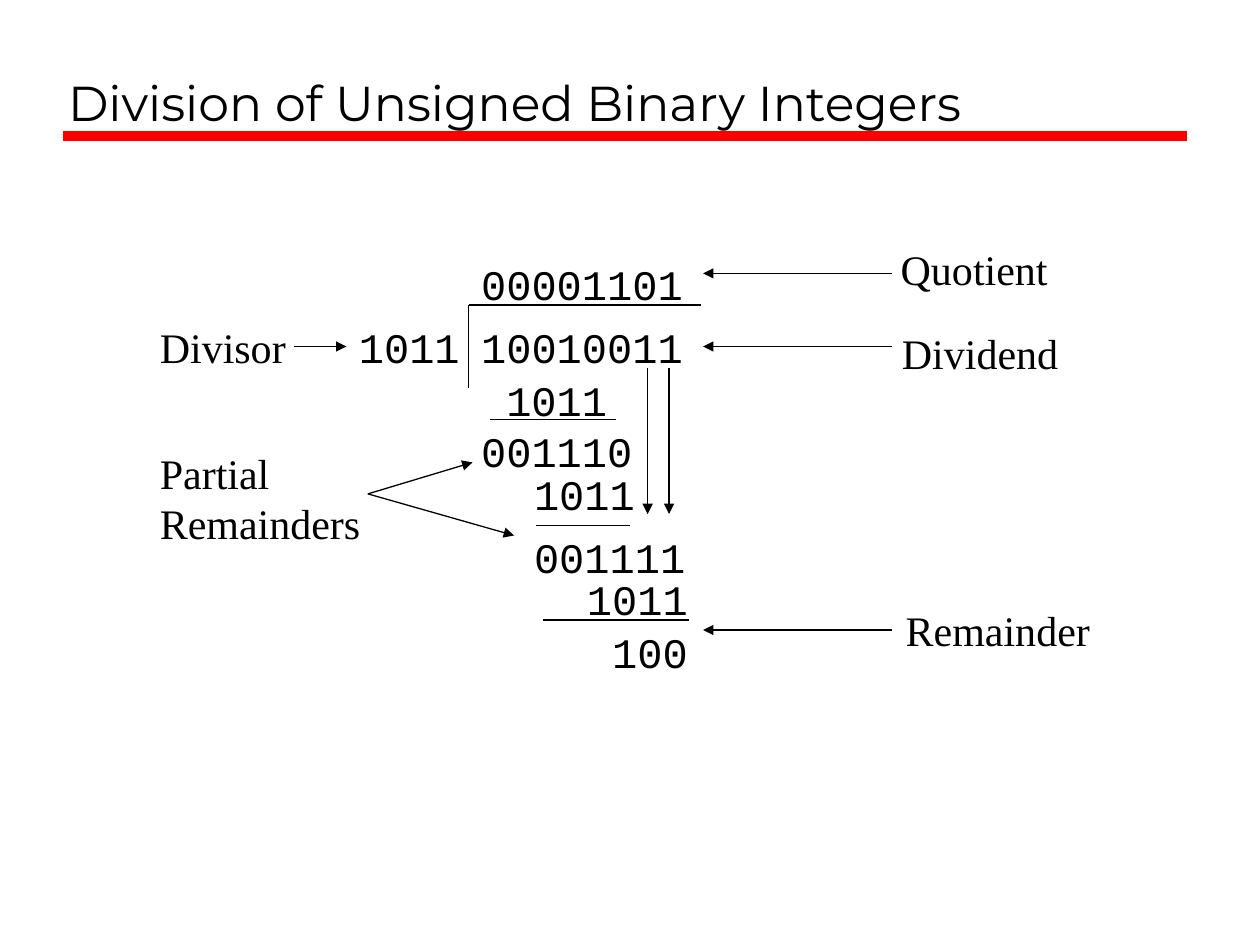
from pptx import Presentation
from pptx.dml.color import RGBColor
from pptx.enum import shapes, text
from pptx.oxml.ns import qn
from pptx.util import Inches, Pt
from lxml import etree

BLACK, RED = "000000", "FF0000"
TITLE = "Division of Unsigned Binary Integers"
DIGIT_WIDTH, INSET = 0.2, 0.1

# digits, left, top
NUMBERS = [
    ("00001101", 3.72, 2),
    ("1011", 2.75, 2.5),
    ("10010011", 3.72, 2.5),
    ("1011", 3.92, 2.92),
    ("001110", 3.72, 3.33),
    ("1011", 4.14, 3.67),
    ("001111", 4.14, 4.17),
    ("1011", 4.56, 4.5),
    ("100", 4.76, 4.92),
]
# wording, left, top, width, height
LABELS = [
    ("Quotient", 7.05, 1.88, 1.36, 0.5),
    ("Dividend", 7.06, 2.55, 1.44, 0.5),
    ("Remainder", 7.09, 4.75, 1.66, 0.5),
    ("Divisor", 1.17, 2.5, 1.2, 0.5),
    ("Partial\nRemainders", 1.17, 3.5, 1.79, 0.9),
]
# x1, y1, x2, y2
DIVISION_BRACKET = [(5.56, 2.42, 3.72, 2.42), (3.72, 2.42, 3.72, 3.08)]
SUBTRACTION_RULES = [
    (3.89, 3.33, 4.89, 3.33),
    (5, 4.17, 4.25, 4.17),
    (4.31, 4.92, 5.47, 4.92),
]
BROUGHT_DOWN = [(x, 2.92, x, 4.08) for x in (5.14, 5.31)]
RESULT_POINTERS = [(7.08, y, 5.58, y) for y in (2.17, 2.75, 5)]
REMAINDER_POINTERS = [(2.92, 3.92, 3.75, 3.67), (2.92, 3.92, 4.08, 4.25)]
DIVISOR_POINTER = (2.33, 2.75, 2.75, 2.75)


def rgb(value):
    return RGBColor.from_string(value)


def write(shape, wording, font, size=24, color=BLACK, wrap=False,
          anchor=text.MSO_ANCHOR.TOP):
    frame = shape.text_frame
    frame.text = wording
    frame.word_wrap = wrap
    frame.vertical_anchor = anchor
    frame.auto_size = text.MSO_AUTO_SIZE.NONE
    for paragraph in frame.paragraphs:
        paragraph.alignment = text.PP_ALIGN.LEFT
        paragraph.font.name = font
        paragraph.font.size = Pt(size)
        paragraph.font.color.rgb = rgb(color)
        for run in paragraph.runs:
            run.font.name = font
            run.font.size = Pt(size)
            run.font.color.rgb = rgb(color)


def draw_line(slide, ends, color=BLACK, width=0.75, arrow=False):
    line = slide.shapes.add_connector(
        shapes.MSO_CONNECTOR.STRAIGHT, *map(Inches, ends))
    line.line.color.rgb = rgb(color)
    line.line.width = Pt(width)
    if arrow:
        etree.SubElement(line.line._get_or_add_ln(), qn("a:tailEnd"),
                         type="triangle")
    etree.SubElement(line._element.spPr, qn("a:effectLst"))


def main():
    deck = Presentation()
    deck.slide_width, deck.slide_height = Inches(10), Inches(7.5)
    slide = deck.slides.add_slide(deck.slide_layouts[5])

    draw_line(slide, (0.5, 1.08, 9.42, 1.08), color=RED, width=6)
    title = slide.shapes.title
    title.left, title.top = Inches(0.44), Inches(0.17)
    title.width, title.height = Inches(8.97), Inches(0.92)
    write(title, TITLE, "Montserrat", size=28, wrap=True,
          anchor=text.MSO_ANCHOR.BOTTOM)

    for digits, left, top in NUMBERS:
        width = len(digits) * DIGIT_WIDTH + 2 * INSET
        box = slide.shapes.add_textbox(*map(Inches, (left, top, width, 0.5)))
        write(box, digits, "Courier New")
    for wording, *place in LABELS:
        box = slide.shapes.add_textbox(*map(Inches, place))
        write(box, wording, "Times New Roman")

    for ends in DIVISION_BRACKET + SUBTRACTION_RULES:
        draw_line(slide, ends)
    for ends in (BROUGHT_DOWN + RESULT_POINTERS + REMAINDER_POINTERS
                 + [DIVISOR_POINTER]):
        draw_line(slide, ends, arrow=True)

    deck.save("out.pptx")


if __name__ == "__main__":
    main()
